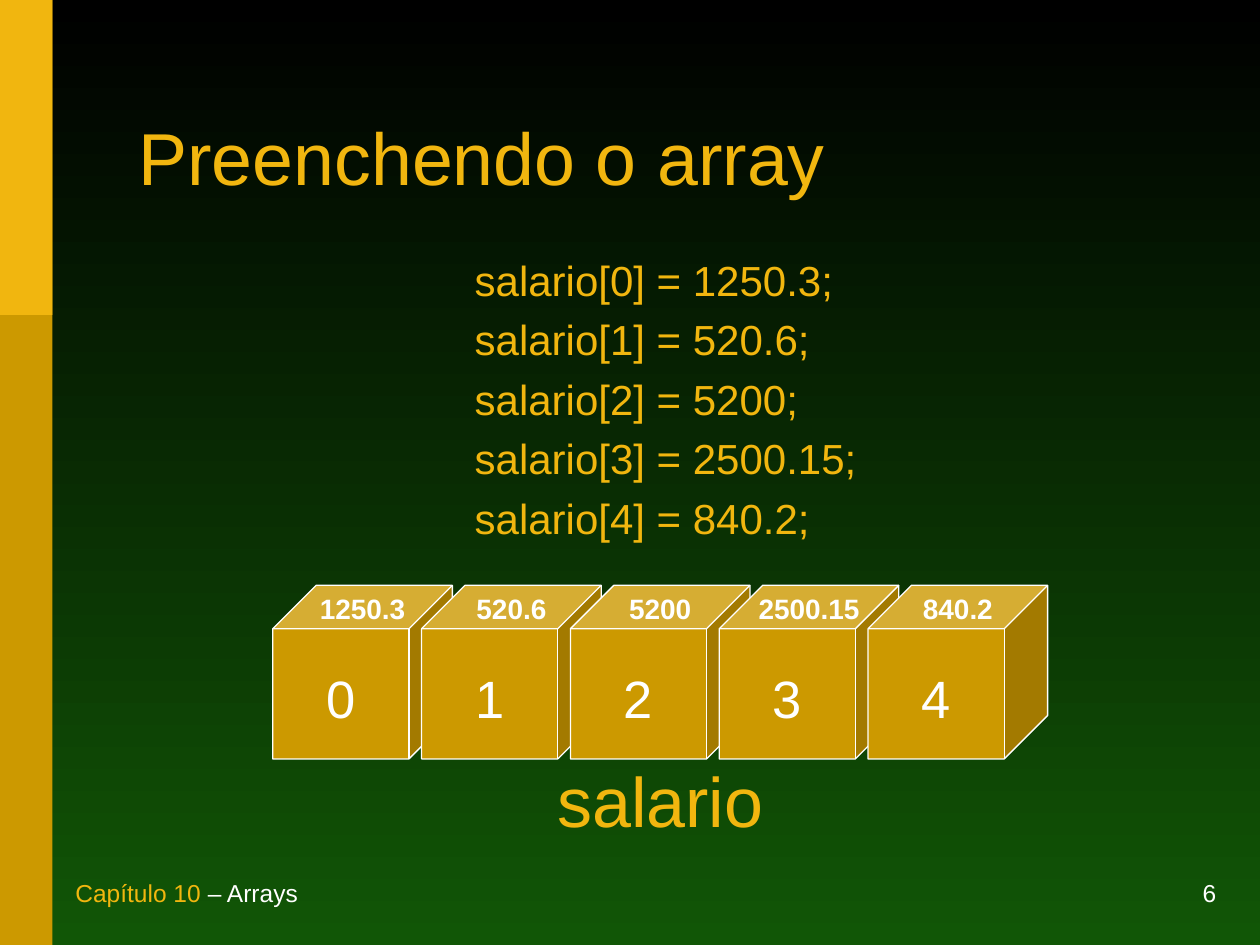
import dataclasses

import pptx
import pptx.dml.color
import pptx.enum.shapes
import pptx.enum.text
import pptx.util

Cm = pptx.util.Cm
Pt = pptx.util.Pt
Kind = pptx.enum.shapes.MSO_SHAPE
Align = pptx.enum.text.PP_ALIGN
Anchor = pptx.enum.text.MSO_ANCHOR
Fit = pptx.enum.text.MSO_AUTO_SIZE


@dataclasses.dataclass(frozen=True)
class Theme:
    """Colours and type sizes of the slide."""
    font: str = "Arial"
    dark: str = "000000"
    green: str = "115606"
    gold: str = "F1B60F"
    ochre: str = "CC9900"
    white: str = "FFFFFF"
    title: int = 42
    name: int = 40
    index: int = 30
    code: int = 24
    value: int = 16
    foot: int = 14


THEME = Theme()
VALUES = ["1250.3", "520.6", "5200", "2500.15", "840.2"]


def rgb(code):
    """Turn a hex code into a colour."""
    return pptx.dml.color.RGBColor.from_string(code)


def apply(item, form):
    """Set each named value on an item."""
    for key, value in form.items():
        setattr(item, key, value)


def write(frame, lines, size, para=None, font=None, body=None):
    """Fill a frame with lines, each a list of (text, colour) runs."""
    base = {"word_wrap": True, "auto_size": Fit.NONE,
            "margin_left": Cm(0.25), "margin_right": Cm(0.25),
            "margin_top": Cm(0.13), "margin_bottom": Cm(0.13)}
    apply(frame, {**base, **(body or {})})
    for pos, runs in enumerate(lines):
        item = frame.add_paragraph() if pos else frame.paragraphs[0]
        apply(item, {"alignment": Align.LEFT, **(para or {})})
        if pos == 0:
            item.space_before = Pt(0)
        for text, tint in runs:
            run = item.add_run()
            run.text = text
            apply(run.font, {"name": THEME.font, "size": Pt(size), **(font or {})})
            run.font.color.rgb = rgb(tint)


def label(slide, box, lines, size, **form):
    """Add a text box."""
    area = slide.shapes.add_textbox(*map(Cm, box))
    write(area.text_frame, lines, size, **form)


def block(slide, kind, box, fill, edge=None):
    """Add a filled shape, with an outline if an edge colour is given."""
    shape = slide.shapes.add_shape(kind, *map(Cm, box))
    shape.shadow.inherit = False
    shape.fill.solid()
    shape.fill.fore_color.rgb = rgb(fill)
    if edge:
        shape.line.color.rgb = rgb(edge)
        shape.line.width = Pt(0.75)
    else:
        shape.line.fill.background()
    return shape


def paint(slide):
    """Give the slide its vertical gradient."""
    fill = slide.background.fill
    fill.gradient()
    fill.gradient_angle = 270
    for stop, tint, pos in zip(fill.gradient_stops, (THEME.dark, THEME.green), (0, 1)):
        stop.color.rgb = rgb(tint)
        stop.position = pos


def side(slide, box):
    """Draw the side bar with its lighter top third."""
    left, top, width, height = box
    block(slide, Kind.RECTANGLE, box, THEME.ochre)
    block(slide, Kind.RECTANGLE, (left, top, width, height / 3), THEME.gold)


def foot(slide, box):
    """Put the chapter at the left and the page number at the right."""
    left, top, width, height = box
    part = 6.35
    low = {"vertical_anchor": Anchor.BOTTOM}
    label(slide, (left, top, part, height),
          [[("Capítulo 10", THEME.gold), (" – Arrays", THEME.white)]],
          THEME.foot, body=low)
    label(slide, (left + width - part, top, part, height), [[("6", THEME.white)]],
          THEME.foot, para={"alignment": Align.RIGHT}, body=low)


def head(slide, box):
    """Place and format the title."""
    title = slide.shapes.title
    apply(title, dict(zip(("left", "top", "width", "height"), map(Cm, box))))
    write(title.text_frame, [[("Preenchendo o array", THEME.gold)]], THEME.title,
          para={"line_spacing": 0.85}, body={"vertical_anchor": Anchor.MIDDLE})


def code(slide, box):
    """List one assignment for each value."""
    lines = [[(f"salario[{pos}] = {value};", THEME.gold)]
             for pos, value in enumerate(VALUES)]
    label(slide, box, lines, THEME.code, para={"space_before": Pt(5.2)},
          body={"word_wrap": False})


def cubes(slide, box):
    """Draw the array as a row of cubes with values on top and its name below."""
    left, top, width, height = box
    step, wide, tall = 3, 2.7, 1.02
    mid = {"alignment": Align.CENTER}
    size = width - step * (len(VALUES) - 1)
    for pos in range(len(VALUES)):
        cube = block(slide, Kind.CUBE, (left + pos * step, top, size, height),
                     THEME.ochre, THEME.white)
        cube.adjustments[0] = 0.25
        write(cube.text_frame, [[(str(pos), THEME.white)]], THEME.index, para=mid,
              body={"vertical_anchor": Anchor.MIDDLE, "margin_top": Cm(0.29)})
    for pos, value in enumerate(VALUES):
        label(slide, (left + pos * step + (size - wide) / 2, top, wide, tall),
              [[(value, THEME.white)]], THEME.value, para=mid, font={"bold": True})
    span = 4.65
    label(slide, (left + (width - span) / 2, top + height - 0.16, span, 1.96),
          [[("salario", THEME.gold)]], THEME.name, para=mid, body={"word_wrap": False})


def main():
    """Build and save the slide."""
    deck = pptx.Presentation()
    deck.slide_width, deck.slide_height = Cm(25.4), Cm(19.05)
    slide = deck.slides.add_slide(deck.slide_layouts[5])
    paint(slide)
    side(slide, (0, 0, 1.06, 19.05))
    foot(slide, (1.27, 17.78, 23.5, 0.64))
    head(slide, (2.54, 1.7, 20.96, 3.18))
    code(slide, (9.32, 5, 8.2, 5.9))
    cubes(slide, (5.5, 11.8, 15.62, 3.5))
    deck.save("out.pptx")


if __name__ == "__main__":
    main()
